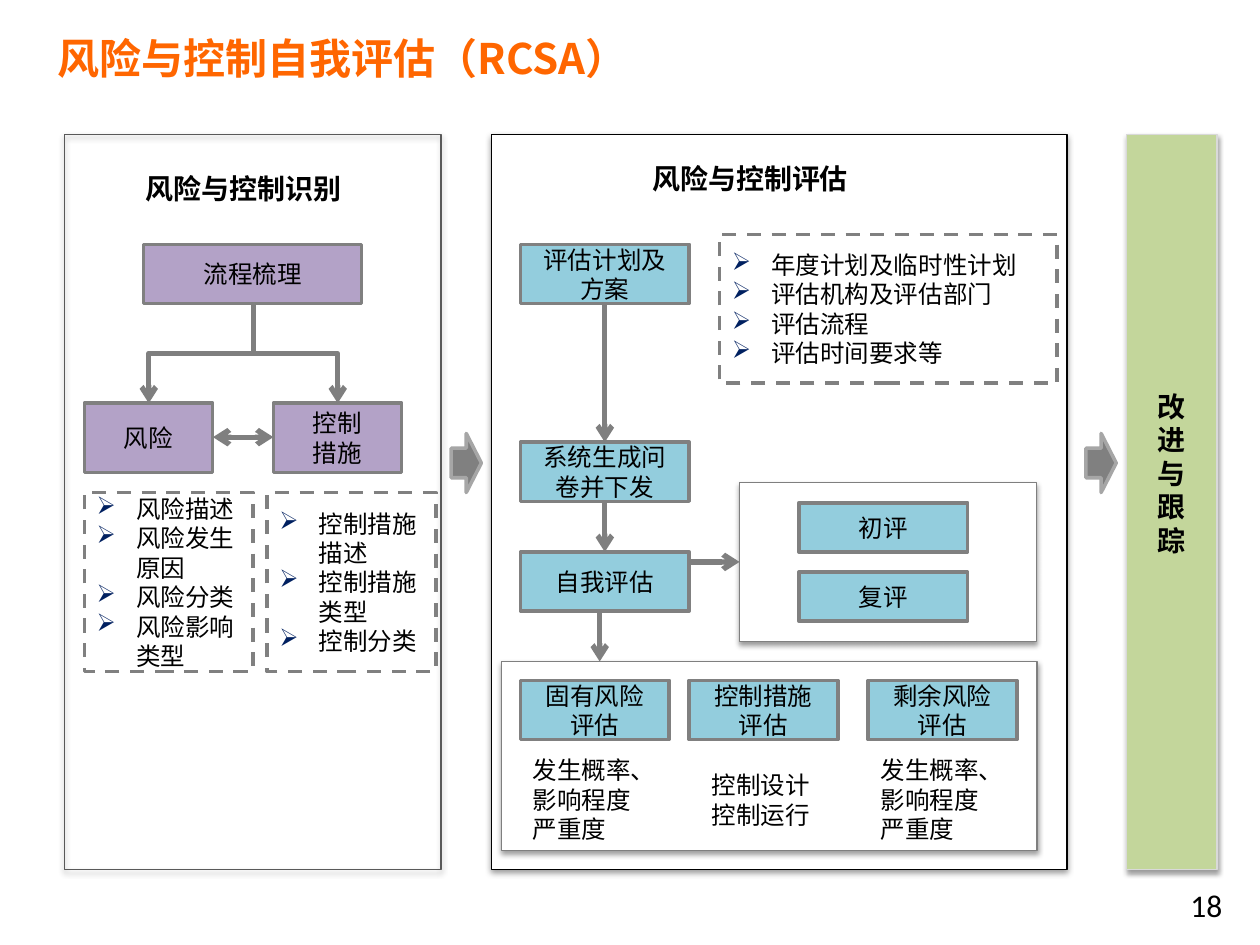
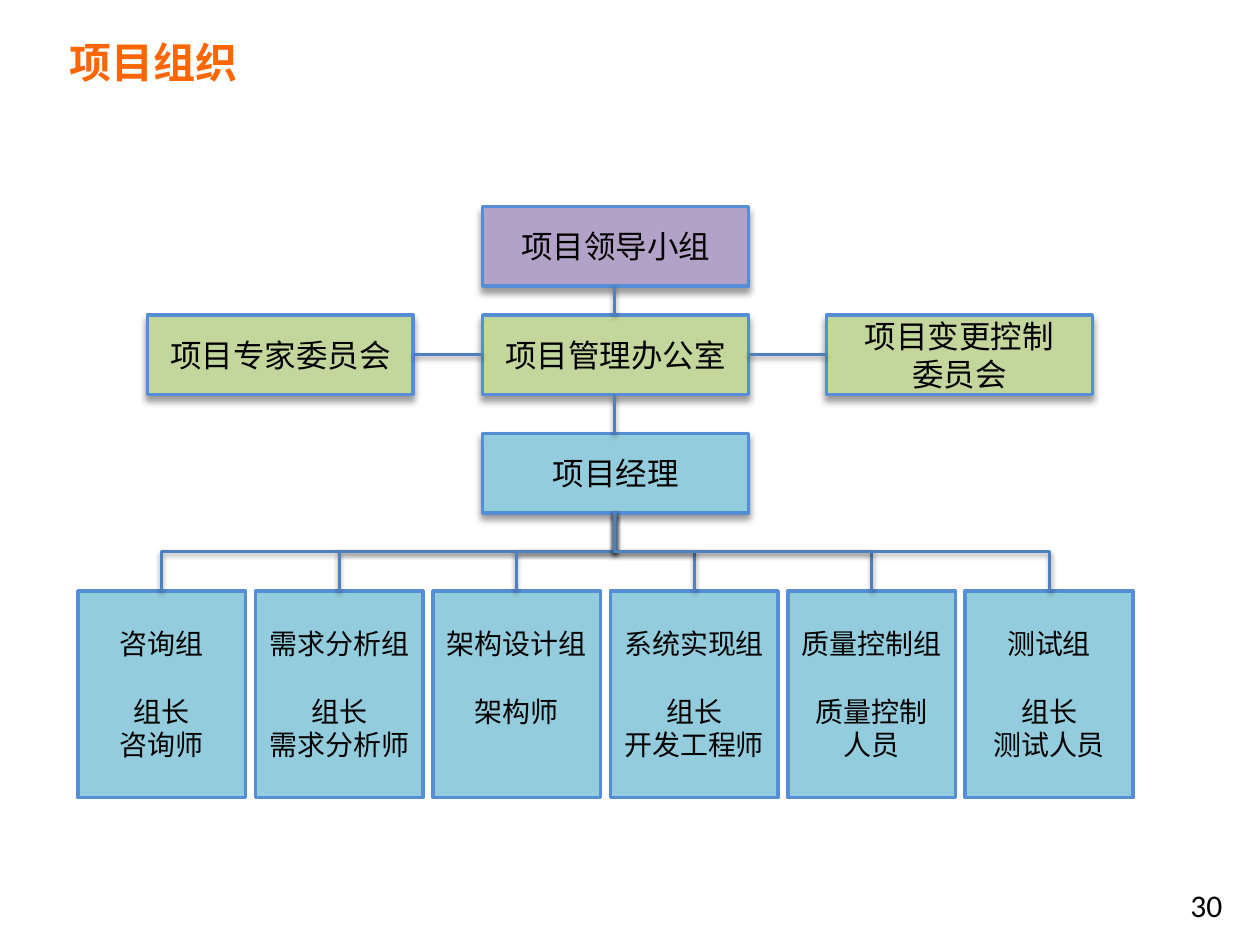
import lxml.etree
import pptx
import pptx.dml.color
import pptx.enum.dml
import pptx.enum.shapes
import pptx.enum.text
import pptx.oxml.ns
import pptx.util

Pt = pptx.util.Pt
RGBColor = pptx.dml.color.RGBColor
SHAPE = pptx.enum.shapes.MSO_SHAPE
CONNECTOR = pptx.enum.shapes.MSO_CONNECTOR
ANCHOR = pptx.enum.text.MSO_ANCHOR
ALIGN = pptx.enum.text.PP_ALIGN
qn = pptx.oxml.ns.qn

ORANGE = RGBColor(0xFF, 0x66, 0x00)
BLACK = RGBColor(0x00, 0x00, 0x00)
WHITE = RGBColor(0xFF, 0xFF, 0xFF)
PURPLE = RGBColor(0xB3, 0xA2, 0xC7)
CYAN = RGBColor(0x93, 0xCD, 0xDD)
GREEN = RGBColor(0xC3, 0xD6, 0x9B)
GRAY = RGBColor(0x80, 0x80, 0x80)
DARK_GRAY = RGBColor(0x59, 0x59, 0x59)
MID_GRAY = RGBColor(0x7F, 0x7F, 0x7F)
SILVER = RGBColor(0xA6, 0xA6, 0xA6)
PALE_GRAY = RGBColor(0xD9, 0xD9, 0xD9)
BORDER_BLUE = RGBColor(0x55, 0x8E, 0xD5)
LINK_BLUE = RGBColor(0x4F, 0x81, 0xBD)
FONT = "Noto Sans CJK SC"
LINE_HEIGHT = 1.2


def add_box(slide, place, text="", size=14, fill=None, outline=None, weight=2,
            kind=SHAPE.RECTANGLE, anchor=ANCHOR.MIDDLE, align=ALIGN.CENTER,
            bold=False, color=BLACK, font=FONT):
    """Add an outlined shape, or a text box when there is no outline."""
    frame = [Pt(value) for value in place]
    if outline is None:
        box = slide.shapes.add_textbox(*frame)
    else:
        box = slide.shapes.add_shape(kind, *frame)
        box.shadow.inherit = False
        box.line.color.rgb = outline
        box.line.width = Pt(weight)
        if fill is None:
            box.fill.background()
        else:
            box.fill.solid()
            box.fill.fore_color.rgb = fill
    if text:
        box.text_frame.text = text
        box.text_frame.word_wrap = True
        box.text_frame.vertical_anchor = anchor
        for paragraph in box.text_frame.paragraphs:
            paragraph.alignment = align
            paragraph.line_spacing = Pt(size * LINE_HEIGHT)
            for run in paragraph.runs:
                run.font.size = Pt(size)
                run.font.bold = bold
                run.font.name = font
                run.font.color.rgb = color
                east_asian = lxml.etree.SubElement(run.font._element, qn("a:ea"))
                east_asian.set("typeface", FONT)
    return box


def add_link(slide, x1, y1, x2, y2, color, weight, arrows=()):
    """Add a straight link, or an elbow that leaves and arrives vertically."""
    bent = x1 != x2 and y1 != y2
    if bent:
        # The elbow is laid out lying on its side, then turned upright.
        middle_x, middle_y = (x1 + x2) / 2, (y1 + y2) / 2
        half_w, half_h = (y2 - y1) / 2, abs(x2 - x1) / 2
        side = 1 if x2 < x1 else -1
        ends = (middle_x - side * half_w, middle_y - half_h,
                middle_x + side * half_w, middle_y + half_h)
    else:
        ends = (x1, y1, x2, y2)
    link = slide.shapes.add_connector(
        CONNECTOR.ELBOW if bent else CONNECTOR.STRAIGHT, *[Pt(v) for v in ends])
    properties = link.element.spPr
    if bent:
        properties.find(qn("a:xfrm")).set("rot", "5400000" if side == 1 else "16200000")
    link.line.color.rgb = color
    link.line.width = Pt(weight)
    for end in arrows:
        lxml.etree.SubElement(properties.find(qn("a:ln")), qn("a:" + end)).set("type", "arrow")
    lxml.etree.SubElement(properties, qn("a:effectLst"))
    return link


deck = pptx.Presentation()
deck.slide_width, deck.slide_height = Pt(720), Pt(540)
blank = deck.slide_layouts[6]
rcsa = deck.slides.add_slide(blank)
organisation = deck.slides.add_slide(blank)
light_shadows, deep_shadows = [], []

for slide, title, left, top, number in [
        (rcsa, "风险与控制自我评估（RCSA）", 26, 15, "18"),
        (organisation, "项目组织", 32.4, 17.3, "30")]:
    add_box(slide, (left, top, 363, 39), title, 24, anchor=ANCHOR.TOP,
            align=ALIGN.LEFT, bold=True, color=ORANGE)
    add_box(slide, (537.8, 502.6, 167.8, 37.4), number, 18, anchor=ANCHOR.TOP,
            align=ALIGN.RIGHT, font="Calibri")

# Slide 1: three stages joined by block arrows
for left, width, fill, outline in [(36.7, 215.3, None, DARK_GRAY),
                                   (280.8, 329, WHITE, BLACK),
                                   (643.7, 51.8, GREEN, PALE_GRAY)]:
    light_shadows.append(add_box(rcsa, (left, 77, width, 419.8), fill=fill,
                                 outline=outline, weight=0.75))
for left in (257.8, 620.6):
    add_box(rcsa, (left, 247.7, 17.3, 33.8), fill=GRAY, outline=SILVER,
            kind=SHAPE.RIGHT_ARROW)
for place, heading in [((76.3, 94.3, 130.3, 26.6), "风险与控制识别"),
                       ((365.8, 88.6, 130.3, 26.6), "风险与控制评估"),
                       ((654.5, 218.9, 39.6, 104.4), "改\n进\n与\n跟\n踪")]:
    add_box(rcsa, place, heading, 16, anchor=ANCHOR.TOP, align=ALIGN.LEFT, bold=True)

# Panels that hold the review rounds and the three assessments
for place in [(422.6, 275.8, 169.9, 90.7), (286.6, 378, 306, 108)]:
    light_shadows.append(add_box(rcsa, place, fill=WHITE, outline=MID_GRAY, weight=0.75))

for place, step, fill in [
        ((82.1, 139.7, 124.6, 33.8), "流程梳理", PURPLE),
        ((48.2, 230.4, 73.4, 39.6), "风险", PURPLE),
        ((156.2, 230.4, 73.4, 39.6), "控制\n措施", PURPLE),
        ((297.4, 139.7, 96.5, 33.8), "评估计划及方案", CYAN),
        ((297.4, 252.7, 96.5, 33.8), "系统生成问卷并下发", CYAN),
        ((297.4, 315.4, 96.5, 33.8), "自我评估", CYAN),
        ((456.5, 287.3, 96.5, 28.1), "初评", CYAN),
        ((456.5, 326.9, 96.5, 28.1), "复评", CYAN)]:
    add_box(rcsa, place, step, fill=fill, outline=GRAY)

for left, assessment, note_left, note_width, note in [
        (297.4, "固有风险\n评估", 297.4, 90.7, "发生概率、影响程度\n严重度"),
        (393.8, "控制措施\n评估", 399.6, 79.2, "控制设计\n控制运行"),
        (496.1, "剩余风险\n评估", 496.1, 90.7, "发生概率、影响程度\n严重度")]:
    add_box(rcsa, (left, 388.8, 85, 33.8), assessment, fill=CYAN, outline=GRAY)
    add_box(rcsa, (note_left, 428.4, note_width, 56.9), note, align=ALIGN.LEFT)

for place, details in [
        ((48.2, 281.5, 96.5, 102.2), "风险描述\n风险发生原因\n风险分类\n风险影响类型"),
        ((152.6, 281.5, 96.5, 102.2), "控制措施描述\n控制措施类型\n控制分类"),
        ((411.1, 133.9, 193, 85),
         "年度计划及临时性计划\n评估机构及评估部门\n评估流程\n评估时间要求等")]:
    checklist = add_box(rcsa, place, details, outline=GRAY, align=ALIGN.LEFT)
    checklist.line.dash_style = pptx.enum.dml.MSO_LINE.DASH
    for paragraph in checklist.text_frame.paragraphs:
        layout = paragraph._element.get_or_add_pPr()
        layout.set("marL", str(Pt(22.5)))
        layout.set("indent", str(Pt(-22.5)))
        tint = lxml.etree.SubElement(layout, qn("a:buClr"))
        lxml.etree.SubElement(tint, qn("a:srgbClr")).set("val", "002060")
        lxml.etree.SubElement(layout, qn("a:buChar")).set("char", "➢")

for ends in [(144.7, 173.5, 85, 230.4), (144.7, 173.5, 193, 230.4),
             (345.6, 173.5, 345.6, 252.7), (345.6, 287.3, 345.6, 315.4),
             (393.9, 321.1, 422.6, 321.1), (342.7, 349.2, 342.7, 378)]:
    add_link(rcsa, *ends, MID_GRAY, 3, ["tailEnd"])
add_link(rcsa, 121.7, 249.8, 156.2, 249.8, MID_GRAY, 3, ["headEnd", "tailEnd"])

# Slide 2: project organisation chart
for left, top, body, fill in [(275.8, 118.1, "项目领导小组", PURPLE),
                              (275.8, 180, "项目管理办公室", GREEN),
                              (275.8, 247.7, "项目经理", CYAN),
                              (84.2, 180, "项目专家委员会", GREEN),
                              (472.3, 180, "项目变更控制\n委员会", GREEN)]:
    deep_shadows.append(add_box(organisation, (left, top, 151.9, 45.4), body, 18,
                                fill=fill, outline=BORDER_BLUE))

for ends in [(351.4, 163.4, 351.4, 180), (351.4, 225.4, 351.4, 247.7),
             (236.2, 202.5, 275.8, 202.5), (472.3, 202.5, 427.7, 202.5)]:
    light_shadows.append(add_link(organisation, *ends, LINK_BLUE, 1.75))

teams = ["咨询组\n组长\n咨询师", "需求分析组\n组长\n需求分析师", "架构设计组\n架构师",
         "系统实现组\n组长\n开发工程师", "质量控制组\n质量控制\n人员", "测试组\n组长\n测试人员"]
team_width, team_pitch, team_top = 95.8, 101.4, 337.7
for index, members in enumerate(teams):
    left = 44.6 + index * team_pitch
    team = add_box(organisation, (left, team_top, team_width, 118.1), members, 16,
                   fill=CYAN, outline=BORDER_BLUE, anchor=ANCHOR.TOP)
    team.text_frame.margin_top = Pt(20.6)
    team.text_frame.paragraphs[0].space_after = Pt(16 * LINE_HEIGHT)
    light_shadows.append(add_link(organisation, 351.4, 292.3, left + team_width / 2,
                                  team_top, LINK_BLUE, 1.75))

# Downward shadows
for group, blur, distance, opacity in [(light_shadows, 3.1, 1.6, 38),
                                       (deep_shadows, 4, 3, 40)]:
    for item in group:
        effects = item.element.spPr.find(qn("a:effectLst"))
        shadow = lxml.etree.SubElement(effects, qn("a:outerShdw"), blurRad=str(Pt(blur)),
                                       dist=str(Pt(distance)), dir="5400000", rotWithShape="0")
        shade = lxml.etree.SubElement(shadow, qn("a:srgbClr"), val=str(BLACK))
        lxml.etree.SubElement(shade, qn("a:alpha"), val=str(opacity * 1000))

deck.save("out.pptx")
